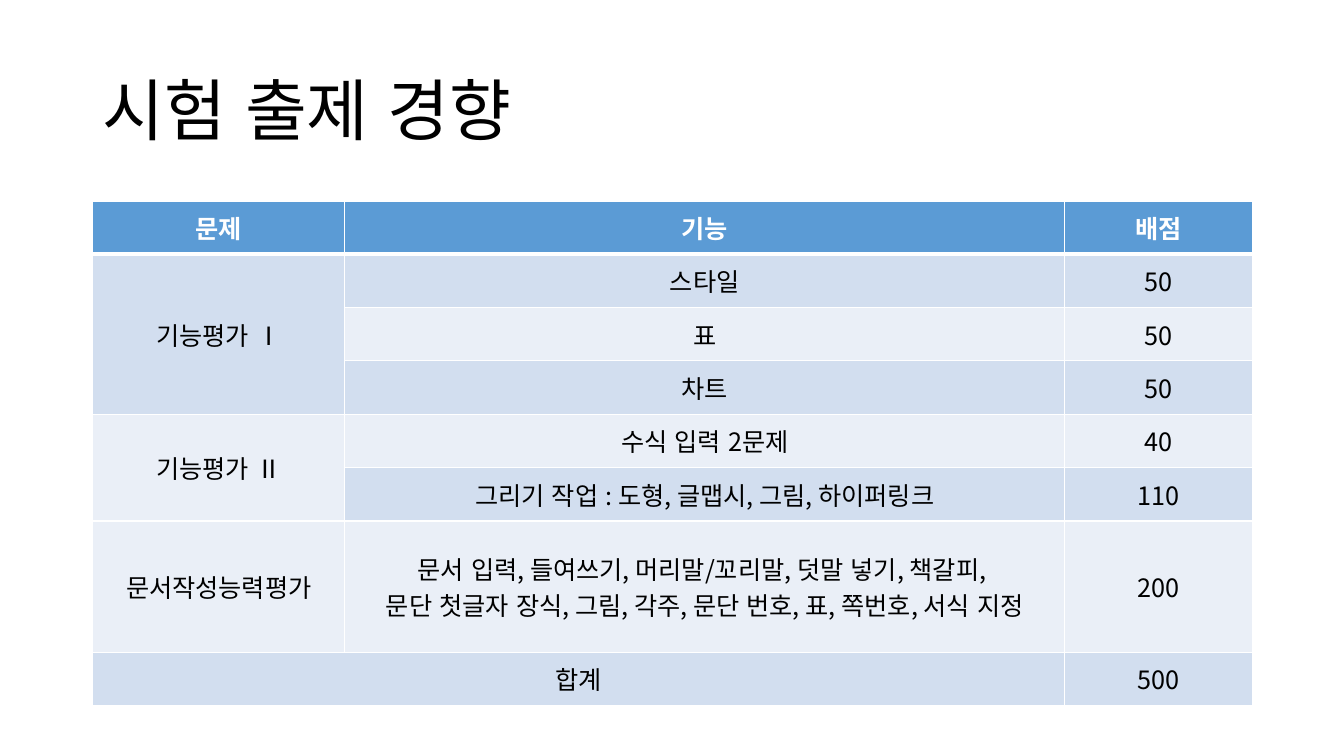
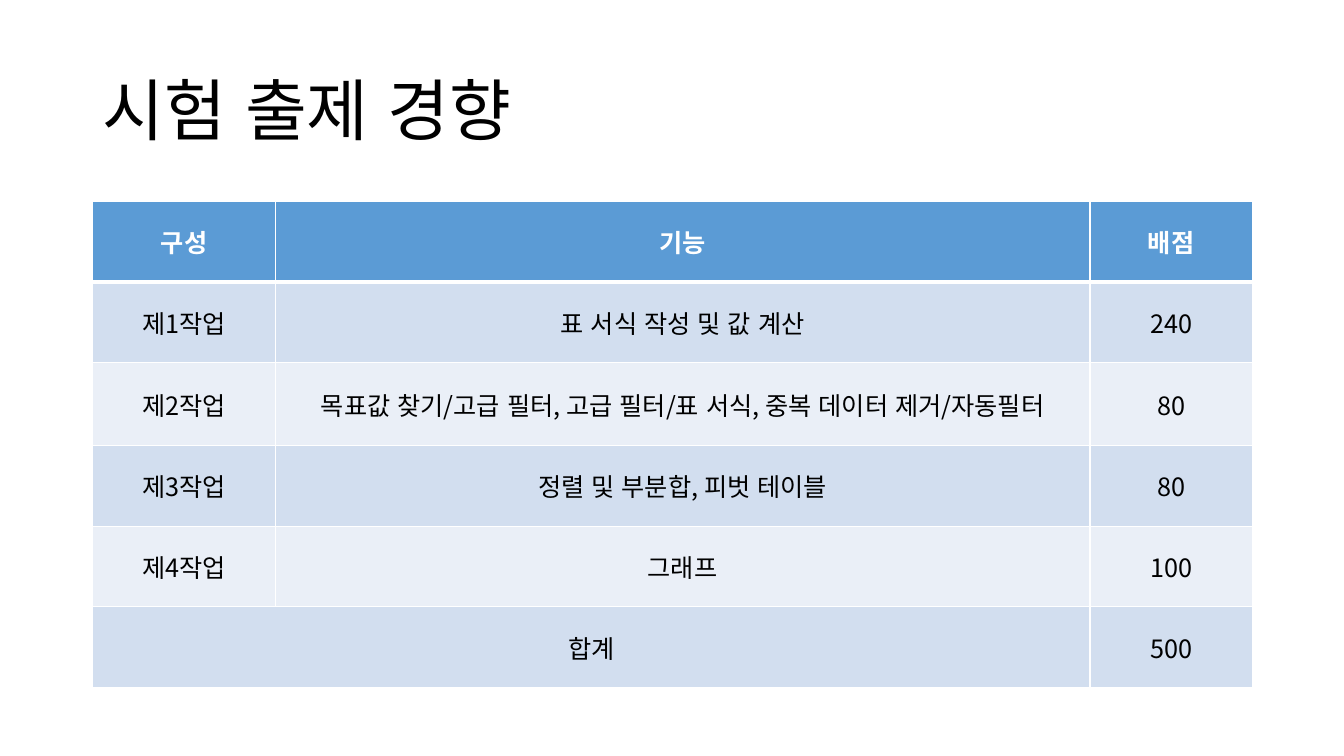
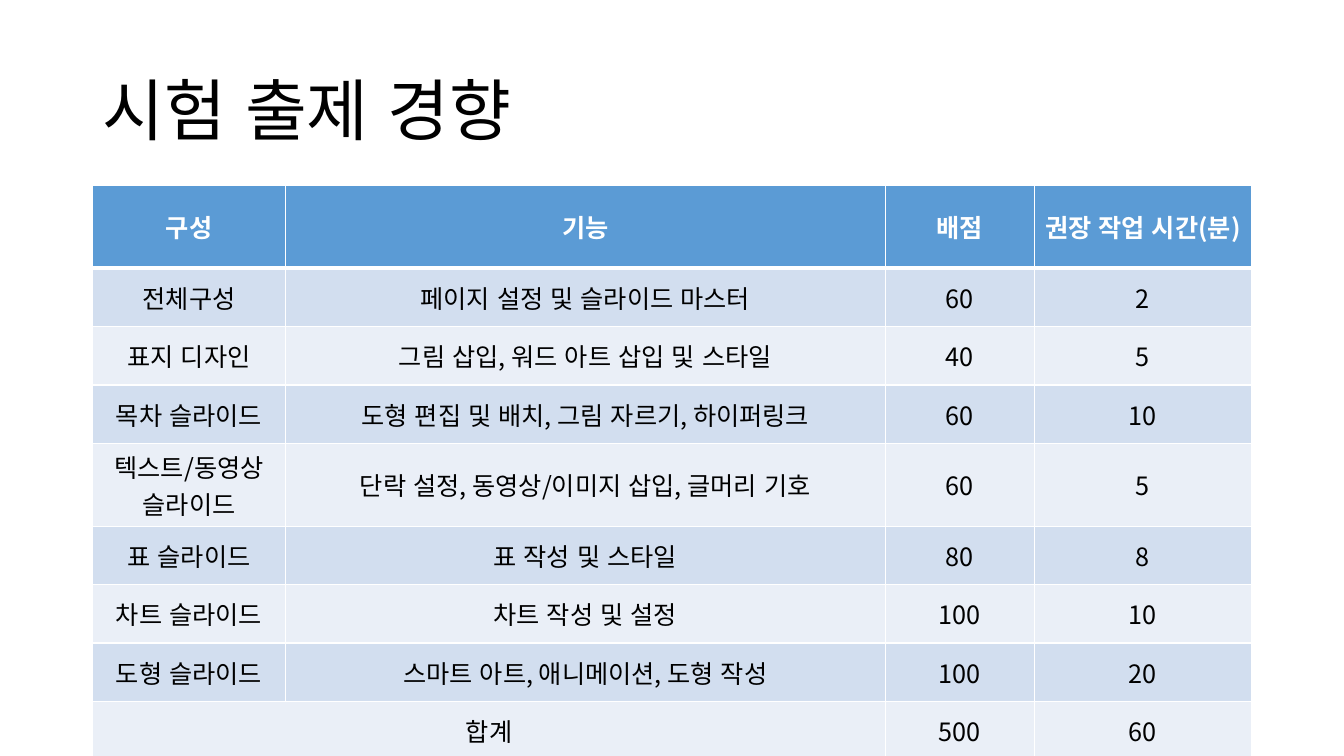
import pptx
import pptx.dml.color
import pptx.enum.lang
import pptx.enum.text
import pptx.oxml
import pptx.oxml.ns
import pptx.util
from pptx.util import Inches

FONT = "Noto Sans CJK KR"
WHITE, BLACK = "FFFFFF", "000000"
HEADER, BANDS = "5B9BD5", ("D2DEEF", "EAEFF7")
LEFT, WIDTH = 0.92, 11.5
TITLE = "시험 출제 경향"
TWO_LINES = 0.82  # height of a row whose text wraps once

# Per slide: table top, column widths, row heights, merged areas, rows
SLIDES = [
    dict(
        top=2, cols=[2.5, 7.14, 1.86], heights=[0.52] + [0.53] * 5 + [1.3, 0.53],
        merges=[(1, 0, 3, 0), (4, 0, 5, 0), (7, 0, 7, 1)],
        rows=[
            ["문제", "기능", "배점"],
            ["기능평가 Ⅰ", "스타일", "50"],
            ["", "표", "50"],
            ["", "차트", "50"],
            ["기능평가 Ⅱ", "수식 입력 2문제", "40"],
            ["", "그리기 작업 : 도형, 글맵시, 그림, 하이퍼링크", "110"],
            ["문서작성능력평가",
             "문서 입력, 들여쓰기, 머리말/꼬리말, 덧말 넣기, 책갈피, \n"
             "문단 첫글자 장식, 그림, 각주, 문단 번호, 표, 쪽번호, 서식 지정", "200"],
            ["합계", "", "500"],
        ]),
    dict(
        top=2, cols=[1.81, 8.08, 1.61], heights=[0.8] * 2 + [TWO_LINES] + [0.8] * 3,
        merges=[(5, 0, 5, 1)],
        rows=[
            ["구성", "기능", "배점"],
            ["제1작업", "표 서식 작성 및 값 계산", "240"],
            ["제2작업", "목표값 찾기/고급 필터, 고급 필터/표 서식, 중복 데이터 제거/자동필터", "80"],
            ["제3작업", "정렬 및 부분합, 피벗 테이블", "80"],
            ["제4작업", "그래프", "100"],
            ["합계", "", "500"],
        ]),
    dict(
        top=1.84, cols=[1.91, 5.95, 1.48, 2.15],
        heights=[TWO_LINES] + [0.58] * 3 + [TWO_LINES] + [0.58] * 4,
        merges=[(8, 0, 8, 1)],
        rows=[
            ["구성", "기능", "배점", "권장 작업 시간(분)"],
            ["전체구성", "페이지 설정 및 슬라이드 마스터", "60", "2"],
            ["표지 디자인", "그림 삽입, 워드 아트 삽입 및 스타일", "40", "5"],
            ["목차 슬라이드", "도형 편집 및 배치, 그림 자르기, 하이퍼링크", "60", "10"],
            ["텍스트/동영상 슬라이드", "단락 설정, 동영상/이미지 삽입, 글머리 기호", "60", "5"],
            ["표 슬라이드", "표 작성 및 스타일", "80", "8"],
            ["차트 슬라이드", "차트 작성 및 설정", "100", "10"],
            ["도형 슬라이드", "스마트 아트, 애니메이션, 도형 작성", "100", "20"],
            ["합계", "", "500", "60"],
        ]),
]


def rgb(value):
    return pptx.dml.color.RGBColor.from_string(value)


def style_font(font, size, color, bold=False):
    font.name = FONT
    font.size = pptx.util.Pt(size)
    font.bold = bold
    font.color.rgb = rgb(color)


def add_run(p, text, size, color, bold=False):
    r = p.add_run()
    r.text = text
    style_font(r.font, size, color, bold)
    r.font.language_id = pptx.enum.lang.MSO_LANGUAGE_ID.KOREAN
    # East Asian typeface follows the Latin one
    latin = r.font._element.find(pptx.oxml.ns.qn("a:latin"))
    latin.addnext(pptx.oxml.parse_xml(
        f'<a:ea {pptx.oxml.ns.nsdecls("a")} typeface="{FONT}"/>'))


def add_title(s, left, top, width, height):
    tf = s.shapes.add_textbox(
        Inches(left), Inches(top), Inches(width), Inches(height)).text_frame
    tf.word_wrap = True
    tf.vertical_anchor = pptx.enum.text.MSO_ANCHOR.MIDDLE
    p = tf.paragraphs[0]
    p.line_spacing = 0.9
    add_run(p, TITLE, 48, BLACK)


def add_borders(cell, row):
    # The rule below the header is thicker
    widths = dict(L=1, R=1, T=3 if row == 1 else 1, B=3 if row == 0 else 1)
    for side, width in widths.items():
        cell._tc.get_or_add_tcPr().append(pptx.oxml.parse_xml(
            f'<a:ln{side} {pptx.oxml.ns.nsdecls("a")} w="{pptx.util.Pt(width)}">'
            f'<a:solidFill><a:srgbClr val="{WHITE}"/></a:solidFill></a:ln{side}>'))


def fill_cell(cell, row, text):
    header = row == 0
    add_borders(cell, row)
    cell.fill.solid()
    cell.fill.fore_color.rgb = rgb(HEADER if header else BANDS[(row - 1) % 2])
    cell.vertical_anchor = pptx.enum.text.MSO_ANCHOR.MIDDLE
    p = cell.text_frame.paragraphs[0]
    p.alignment = pptx.enum.text.PP_ALIGN.CENTER
    if not text:
        style_font(p.font, 18, BLACK)
        return
    for i, line in enumerate(text.split("\n")):
        if i:
            p.add_line_break()
        add_run(p, line, 18, WHITE if header else BLACK, header)


def add_score_table(s, left, top, width, cols, heights, merges, rows):
    table = s.shapes.add_table(
        len(rows), len(cols), Inches(left), Inches(top),
        Inches(width), Inches(sum(heights))).table
    for column, size in zip(table.columns, cols):
        column.width = Inches(size)
    for row, size in zip(table.rows, heights):
        row.height = Inches(size)
    for i, texts in enumerate(rows):
        for j, text in enumerate(texts):
            fill_cell(table.cell(i, j), i, text)
    for r1, c1, r2, c2 in merges:
        table.cell(r1, c1).merge(table.cell(r2, c2))


def main():
    prs = pptx.Presentation()
    prs.slide_width, prs.slide_height = Inches(13.33), Inches(7.5)
    for content in SLIDES:
        s = prs.slides.add_slide(prs.slide_layouts[6])
        add_title(s, LEFT, 0.4, WIDTH, 1.45)
        add_score_table(s, left=LEFT, width=WIDTH, **content)
    prs.save("out.pptx")


if __name__ == "__main__":
    main()
